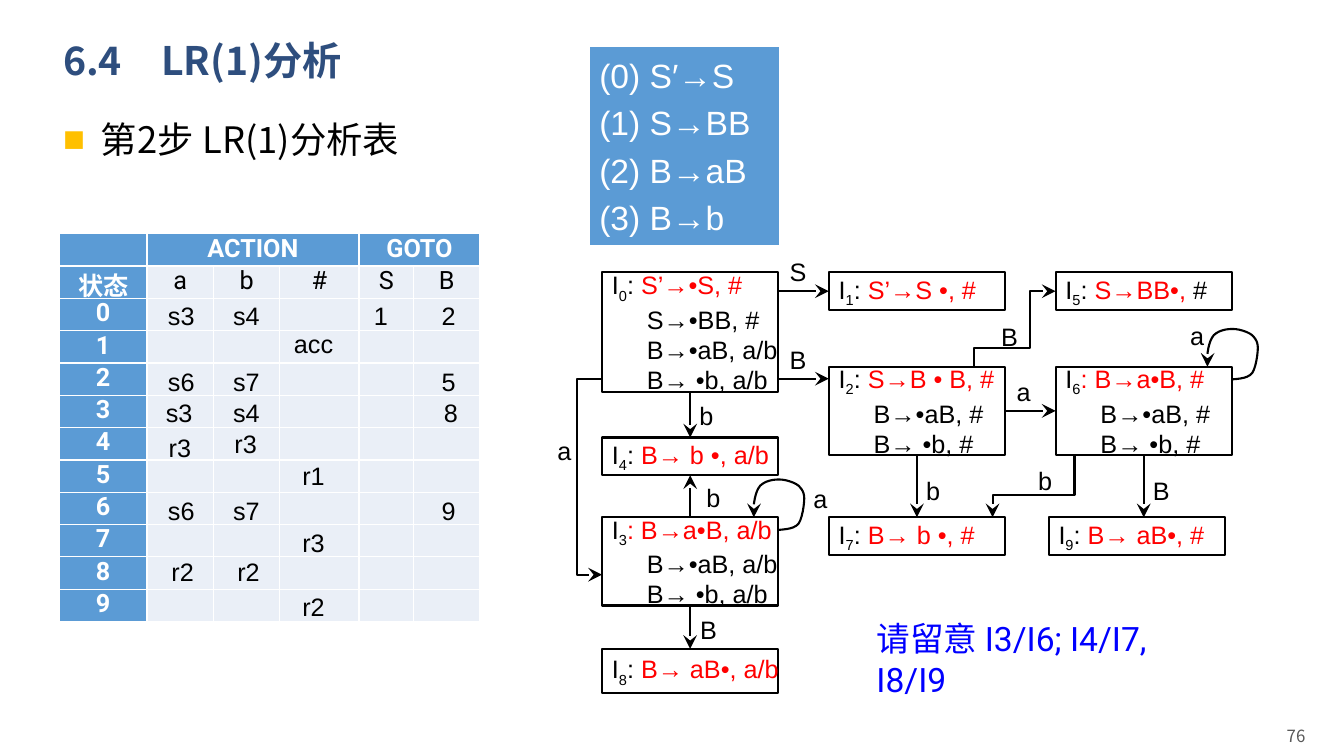
"""Build the LR(1) parsing table slide with its item set automaton."""
from lxml.etree import SubElement
from pptx import Presentation
from pptx.dml.color import RGBColor
from pptx.enum.shapes import MSO_CONNECTOR, MSO_SHAPE
from pptx.enum.text import MSO_ANCHOR, PP_ALIGN
from pptx.oxml.ns import qn
from pptx.util import Pt

TITLE = "6.4　LR(1)分析"
STEP = "第2步 LR(1)分析表"
NOTE = "请留意 I3/I6; I4/I7, I8/I9"
PAGE = "76"
RULES = ["(0) S′→S", "(1) S→BB", "(2) B→aB", "(3) B→b"]

THEME = {
    "black": "000000", "white": "FFFFFF", "red": "FF0000", "blue": "0000FF",
    "navy": "2E4E7E", "gold": "FFC000", "grey": "595959",
    "head": "5B9BD5", "cell": "EAEFF7",
    "title": 28, "step": 26, "big": 24, "text": 18, "small": 12,
    "han": "Noto Sans CJK SC", "latin": "Arial", "grid": "Roboto",
}

WIDE = 126
STATES = {
    "0": (430, 194.5, 85.5, ": ", "S’→•S, #", "", ["S→•BB, #", "B→•aB, a/b", "B→ •b, a/b"]),
    "1": (592, 194.5, 27, ": ", "S’→S •, #", "", []),
    "2": (592, 262, 63, ": ", "S→B • B, #", "", ["B→•aB, #", "B→ •b, #"]),
    "3": (430, 369.5, 63, "", ": B→a•B, a/b", "", ["B→•aB, a/b", "B→ •b, a/b"]),
    "4": (430, 312.5, 27, ": ", "B→ b •, a/b", "", []),
    "5": (754, 194.5, 27, ": ", "S→BB•, ", "#", []),
    "6": (754, 262, 63, "", ": B→a•B, #", "", ["B→•aB, #", "B→ •b, #"]),
    "7": (592, 369.5, 27, ": ", "B→ b •, #", "", []),
    "8": (430, 463.5, 31.5, ": ", "B→ aB•, a/b", "", []),
    "9": (749, 369.5, 27, ": ", "B→ aB•, #", "", []),
}
TOP, LEFT, BOTTOM, RIGHT = range(4)
LINKS = [
    ("0", RIGHT, "1", LEFT, 208), ("0", RIGHT, "2", LEFT, 270.5),
    ("2", RIGHT, "6", LEFT, 293.5), ("0", BOTTOM, "4", TOP, 493),
    ("3", TOP, "4", BOTTOM, 493), ("3", BOTTOM, "8", TOP, 493),
    ("2", BOTTOM, "7", TOP, 655), ("6", BOTTOM, "9", TOP, 817),
]
BENDS = [
    [(430, 271), (412, 271), (412, 410.5), (430, 410.5)],
    [(695.5, 262), (695.5, 248.5), (736, 248.5), (736, 208), (754, 208)],
    [(767.5, 325), (767.5, 353.5), (709, 353.5), (709, 369.5)],
]
LOOPS = [(556.5, 378.5), (880.5, 271)]
CURVE = [
    (0, 0), (6, -0.5), (11, -1), (14, -4.5), (16.5, -8), (18, -18), (18, -22.5),
    (18, -26.5), (16.5, -29), (14, -31.5), (11, -34), (4.5, -36), (0, -36),
    (-4.5, -36), (-10, -35), (-13.5, -31.5), (-16.5, -28), (-17.5, -22),
    (-18, -18), (-18.5, -14.5), (-18, -11.5), (-18, -9),
]
LABELS = [
    ("S", 569, 194), ("B", 569, 257), ("a", 403, 322), ("b", 504.5, 297),
    ("B", 720, 240), ("a", 731, 279.5), ("b", 666.5, 350), ("B", 505, 449.5),
    ("a", 586, 356), ("b", 509.5, 355.5), ("a", 855, 239.5),
    ("B", 828.5, 350), ("b", 746.5, 343),
]
COLS = [62.5, 47.5, 47.5, 56.5, 39, 47.5]
ROW = 23.1
HEADS = ["状态", "a", "b", "#", "S", "B"]
MOVES = [
    (211, [("s3", 129.5), ("s4", 176), ("1", 272), ("2", 320.5)]),
    (231, [("acc", 224)]),
    (258, [("s6", 129.5), ("s7", 176), ("5", 320.5)]),
    (280, [("s3", 128), ("s4", 176), ("8", 322)]),
    (305.5, [("r3", 128.5)]),
    (302.5, [("r3", 175.5)]),
    (325.5, [("r1", 224)]),
    (350, [("s6", 129.5), ("s7", 176), ("9", 320.5)]),
    (373, [("r3", 224)]),
    (394, [("r2", 130.5), ("r2", 177.5)]),
    (419, [("r2", 224)]),
]


def tint(name):
    return RGBColor.from_string(THEME[name])


def style(item, **vals):
    for key, val in vals.items():
        setattr(item, key, val)


def write(para, text, color="black", size="text", face="latin", bold=False, sub=False):
    run = para.add_run()
    run.text = text
    style(run.font, size=Pt(THEME[size]), name=THEME[face], bold=bold)
    run.font.color.rgb = tint(color)
    props = run.font._element
    if face != "latin":
        SubElement(props, qn("a:ea"), typeface=THEME["han"])
    if sub:
        props.set("baseline", "-25000")


def note(slide, text, area, align=PP_ALIGN.LEFT, anchor=MSO_ANCHOR.TOP, wrap=True, **look):
    frame = slide.shapes.add_textbox(*map(Pt, area)).text_frame
    style(frame, word_wrap=wrap, vertical_anchor=anchor)
    para = frame.paragraphs[0]
    para.alignment = align
    write(para, text, **look)
    return para


def block(slide, area, fill=None, edge="black"):
    box = slide.shapes.add_shape(MSO_SHAPE.RECTANGLE, *map(Pt, area))
    box.shadow.inherit = False
    if fill:
        box.fill.solid()
        box.fill.fore_color.rgb = tint(fill)
    else:
        box.fill.background()
    box.line.color.rgb = tint(edge)
    box.line.width = Pt(1.5)
    style(box.text_frame, word_wrap=False, vertical_anchor=MSO_ANCHOR.MIDDLE)
    return box


def lines(frame, count):
    paras = [frame.paragraphs[0]] + [frame.add_paragraph() for _ in range(count - 1)]
    for para in paras:
        para.alignment = PP_ALIGN.LEFT
    return paras


def state(slide, name):
    x, y, high, gap, core, tail, rest = STATES[name]
    box = block(slide, (x, y, WIDE, high))
    first, *more = lines(box.text_frame, 1 + len(rest))
    write(first, "I")
    write(first, name, sub=True)
    for text, color in ((gap, "black"), (core, "red"), (tail, "black")):
        if text:
            write(first, text, color)
    for para, text in zip(more, rest):
        para._p.get_or_add_pPr().set("marL", str(Pt(25)))
        write(para, text)
    return box


def arrow(line, props):
    line.color.rgb = tint("black")
    line.width = Pt(1.5)
    SubElement(props.find(qn("a:ln")), qn("a:tailEnd"), type="stealth", w="lg", len="lg")


def side(name, site):
    x, y, high = STATES[name][:3]
    return [(x + WIDE / 2, y), (x, y + high / 2),
            (x + WIDE / 2, y + high), (x + WIDE, y + high / 2)][site]


def link(slide, boxes, start, out, end, into, at):
    mids = [side(start, out), side(end, into)]
    flat = out in (LEFT, RIGHT)
    ends = [(x, at) if flat else (at, y) for x, y in mids]
    wire = slide.shapes.add_connector(MSO_CONNECTOR.STRAIGHT, *map(Pt, ends[0] + ends[1]))
    if ends[0] == mids[0]:
        wire.begin_connect(boxes[start], out)
    if ends[1] == mids[1]:
        wire.end_connect(boxes[end], into)
    props = wire._element.spPr
    arrow(wire.line, props)
    SubElement(props, qn("a:effectLst"))


def trace(slide, dots):
    dots = [(Pt(x), Pt(y)) for x, y in dots]
    pen = slide.shapes.build_freeform(*dots[0])
    pen.add_line_segments(dots[1:], close=False)
    shape = pen.convert_to_shape()
    shape.shadow.inherit = False
    shape.fill.background()
    arrow(shape.line, shape._element.spPr)


def bend(x, y, steps=6):
    dots = [(x, y)]
    for i in range(0, len(CURVE) - 1, 3):
        for n in range(1, steps + 1):
            t = n / steps
            mix = ((1 - t) ** 3, 3 * t * (1 - t) ** 2, 3 * t * t * (1 - t), t ** 3)
            dx, dy = (sum(m * p[k] for m, p in zip(mix, CURVE[i:i + 4])) for k in (0, 1))
            dots.append((x + dx, y + dy))
    return dots


def grid(slide):
    area = (42.5, 167, sum(COLS), 12 * ROW)
    table = slide.shapes.add_table(12, 6, *map(Pt, area)).table
    table.horz_banding = False
    for col, wide in zip(table.columns, COLS):
        col.width = Pt(wide)
    for row in table.rows:
        row.height = Pt(ROW)
    table.cell(0, 1).merge(table.cell(0, 3))
    table.cell(0, 4).merge(table.cell(0, 5))
    words = {(0, 1): "ACTION", (0, 4): "GOTO"}
    words.update({(1, c): text for c, text in enumerate(HEADS)})
    words.update({(r + 2, 0): str(r) for r in range(10)})
    for r in range(12):
        for c in range(6):
            cell, head = table.cell(r, c), r == 0 or c == 0
            style(cell, margin_left=Pt(1), margin_right=Pt(1), margin_top=0, margin_bottom=0)
            cell.fill.solid()
            cell.fill.fore_color.rgb = tint("head" if head else "cell")
            if (r, c) in words:
                para = cell.text_frame.paragraphs[0]
                para.alignment = PP_ALIGN.CENTER
                write(para, words[r, c], "white" if head else "black", face="grid", bold=head)


def main():
    deck = Presentation()
    style(deck, slide_width=Pt(960), slide_height=Pt(540))
    slide = deck.slides.add_slide(deck.slide_layouts[6])
    mid = MSO_ANCHOR.MIDDLE
    title = note(slide, TITLE, (38, 20, 828, 49), anchor=mid, color="navy", size="title", face="han", bold=True)
    title.line_spacing = 0.9
    step = note(slide, STEP, (38, 74, 292, 49), PP_ALIGN.JUSTIFY, size="step", face="han")
    step.line_spacing = 1.2
    props = step._p.get_or_add_pPr()
    for key, val in {"marL": Pt(27), "indent": Pt(-27)}.items():
        props.set(key, str(val))
    SubElement(SubElement(props, qn("a:buClr")), qn("a:srgbClr"), val=THEME["gold"])
    SubElement(props, qn("a:buFont"), typeface=THEME["latin"])
    SubElement(props, qn("a:buChar"), char="■")
    note(slide, PAGE, (659.5, 511, 280, 29), PP_ALIGN.RIGHT, mid, color="grey", size="small", face="han")
    boxes = {name: state(slide, name) for name in STATES}
    for item in LINKS:
        link(slide, boxes, *item)
    for dots in BENDS + [bend(*spot) for spot in LOOPS]:
        trace(slide, dots)
    for text, x, y in LABELS:
        note(slide, text, (x - 12, y - 14, 24, 28), PP_ALIGN.CENTER, mid, False)
    rules = block(slide, (421, 32.5, 136, 143.5), "head", "white")
    for i, para in enumerate(lines(rules.text_frame, len(RULES))):
        if i:
            para.space_before = Pt(5)
        write(para, RULES[i], "white", "big")
    note(slide, NOTE, (619, 438, 260, 66), color="blue", size="big", face="grid")
    grid(slide)
    for top, moves in MOVES:
        for text, x in moves:
            note(slide, text, (x - 28, top, 56, 29), PP_ALIGN.CENTER, wrap=False)
    deck.save("out.pptx")


if __name__ == "__main__":
    main()
